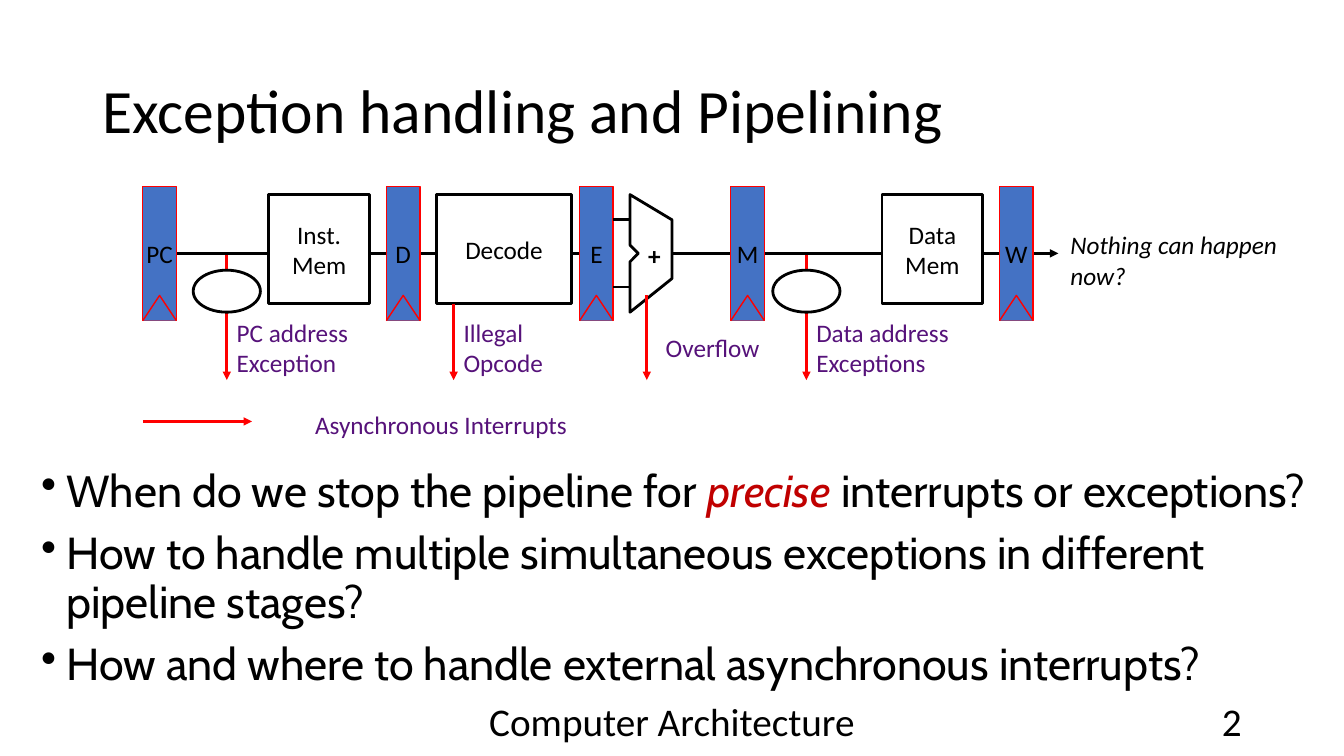
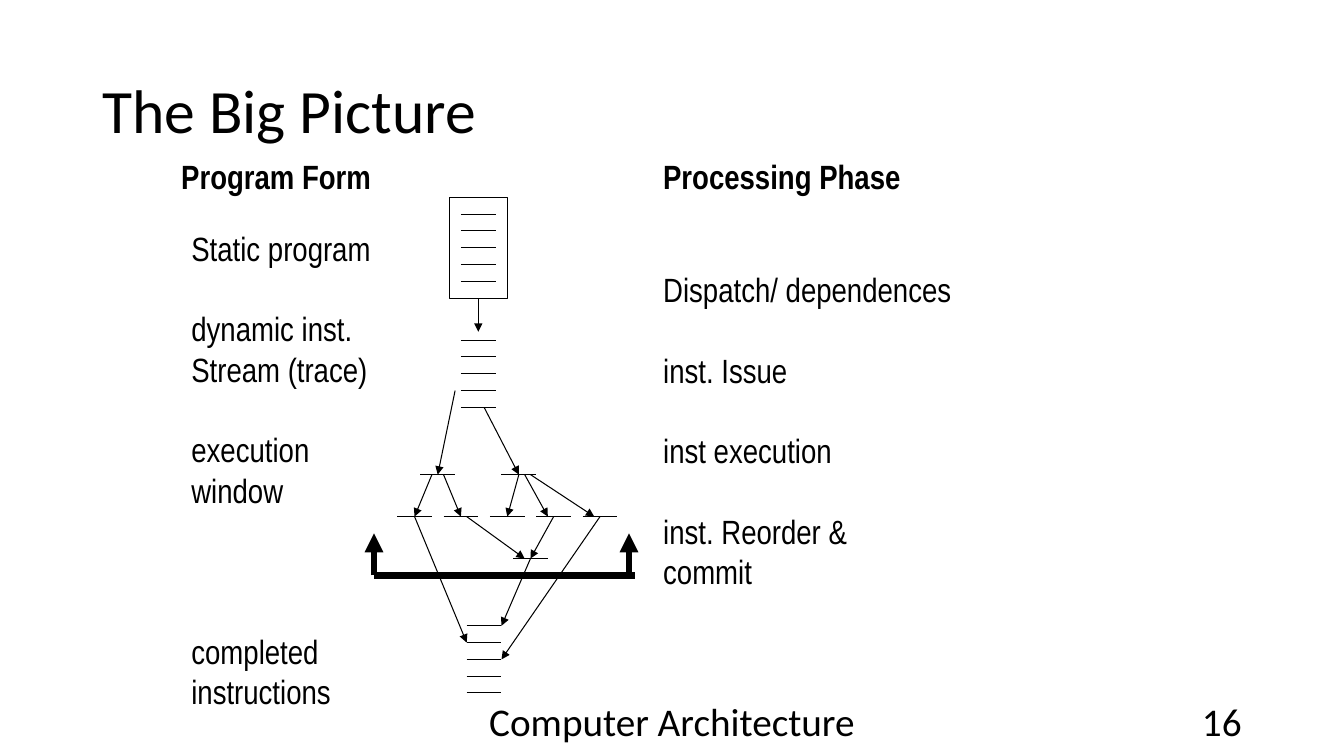
import pptx
import pptx.util
import pptx.dml.color
import pptx.enum.shapes
import pptx.enum.text
import pptx.oxml.ns
import pptx.oxml.xmlchemy

Pt = pptx.util.Pt
SHAPE = pptx.enum.shapes.MSO_SHAPE
ALIGN = pptx.enum.text.PP_ALIGN
ANCHOR = pptx.enum.text.MSO_ANCHOR

BLACK, WHITE, RED, BLUE = "000000", "FFFFFF", "FF0000", "4472C4"
PURPLE, CRIMSON = "56127A", "C00000"
FOOTER = "Computer Architecture"

REGISTER_TOP, REGISTER_WIDTH, REGISTER_HEIGHT, NOTCH = 133, 24, 96, 18
WIRE_Y = REGISTER_TOP + REGISTER_HEIGHT / 2
REGISTERS = [("PC", 102), ("D", 276), ("E", 414), ("M", 522), ("W", 714)]
UNIT_TOP, UNIT_HEIGHT = 139, 78
UNITS = [("Inst. Mem", 192, 72), ("Decode", 312, 96), ("Data Mem", 630, 72)]
ADDER = [(450, 139), (450, 175), (456, 181), (450, 187), (450, 223), (480, 199), (480, 157)]
ADDER_INPUTS = [157, 205]
CHECKS = [162, 576]
EXCEPTIONS_BOTTOM = 271.5
UNIT_EXCEPTIONS = [(324, 217), (462, 211)]
EXCEPTION_LABELS = [
    ("PC address Exception", 162, 127),
    ("Illegal Opcode", 324, 96),
    ("Overflow", 459, 100),
    ("Data address Exceptions", 576, 144),
]
QUESTIONS = [
    [("When do we stop the pipeline for ", False), ("precise", True),
     (" interrupts or exceptions?", False)],
    [("How to handle multiple simultaneous exceptions in different pipeline stages?", False)],
    [("How and where to handle external asynchronous interrupts?", False)],
]

GRID_LEFT, GRID_STEP, DASH_COLUMNS = 283.7, 4.14, 6
STACK_STEP, STACK_SIZE = 12, 5
STACKS = [(11, 153), (11, 243), (12, 447)]
ROW_1, ROW_2, ROW_3 = 339, 369, 399
WINDOW_DASHES = [(4, ROW_1), (18, ROW_1), (20, ROW_3)] + [(8 * n, ROW_2) for n in range(5)]
DEPENDENCES = [
    (10, 279, 7, ROW_1), (15, 291, 21, ROW_1),
    (6, ROW_1, 3, ROW_2), (8, ROW_1, 11, ROW_2), (21, ROW_1, 19, ROW_2),
    (22, ROW_1, 26, ROW_2), (23, ROW_1, 34, ROW_2),
    (27, ROW_2, 23, ROW_3), (12, ROW_2, 22, ROW_3),
    (23, ROW_3, 18, 447), (3, ROW_2, 12, 459), (35, ROW_2, 18, 471),
]
BRACKET_LEFT, BRACKET_RIGHT, BRACKET_Y, BRACKET_TIP = -4, 40, 411, 381
LINE_HEIGHT = 28.8
HEADINGS = [("Program Form", 122.4), ("Processing Phase", 466.6)]
COLUMNS = [
    (129.6, 159, [("Static program", 0), ("dynamic inst.", 1), ("Stream (trace)", 0),
                  ("execution", 1), ("window", 0), ("completed", 3), ("instructions", 0)]),
    (466.6, 188.6, [("Dispatch/ dependences", 0), ("inst. Issue", 1), ("inst execution", 1),
                    ("inst. Reorder &", 1), ("commit", 0)]),
]


def color(value):
    return pptx.dml.color.RGBColor.from_string(value)


def make_element(tag, **attributes):
    element = pptx.oxml.xmlchemy.OxmlElement(tag)
    for name, value in attributes.items():
        element.set(name, value)
    return element


def set_font(font, size, name="Calibri", ink=BLACK, bold=False, italic=False):
    font.size, font.name, font.bold, font.italic = Pt(size), name, bold, italic
    font.color.rgb = color(ink)


def add_text(slide, lines, left, top, width, height, size,
             align=ALIGN.LEFT, anchor=ANCHOR.TOP, **style):
    frame = slide.shapes.add_textbox(Pt(left), Pt(top), Pt(width), Pt(height)).text_frame
    frame.word_wrap = True
    frame.vertical_anchor = anchor
    for index, line in enumerate(lines):
        paragraph = frame.paragraphs[0] if index == 0 else frame.add_paragraph()
        paragraph.text = line
        paragraph.alignment = align
        set_font(paragraph.font, size, **style)
    return frame


def paint(shape, fill, line, width):
    shape.shadow.inherit = False
    if fill:
        shape.fill.solid()
        shape.fill.fore_color.rgb = color(fill)
    else:
        shape.fill.background()
    shape.line.color.rgb = color(line)
    shape.line.width = Pt(width)
    return shape


def add_box(slide, kind, left, top, width, height, fill, line, weight, label="", wrap=True):
    shape = slide.shapes.add_shape(kind, Pt(left), Pt(top), Pt(width), Pt(height))
    paint(shape, fill, line, weight)
    if label:
        shape.text_frame.word_wrap = wrap
        shape.text_frame.vertical_anchor = ANCHOR.MIDDLE
        paragraph = shape.text_frame.paragraphs[0]
        paragraph.text = label
        paragraph.alignment = ALIGN.CENTER
        set_font(paragraph.font, 18)
    return shape


def add_outline(slide, points, fill, line, weight, close):
    corners = [(Pt(x), Pt(y)) for x, y in points]
    builder = slide.shapes.build_freeform(*corners[0])
    builder.add_line_segments(corners[1:], close=close)
    return paint(builder.convert_to_shape(), fill, line, weight)


def add_line(slide, x1, y1, x2, y2, ink=BLACK, weight=2.0, arrow=False):
    line = slide.shapes.add_connector(
        pptx.enum.shapes.MSO_CONNECTOR.STRAIGHT, Pt(x1), Pt(y1), Pt(x2), Pt(y2))
    line.line.color.rgb = color(ink)
    line.line.width = Pt(weight)
    properties = line._element.spPr
    if arrow:
        outline = properties.find(pptx.oxml.ns.qn("a:ln"))
        outline.append(make_element("a:tailEnd", type="triangle"))
    properties.append(make_element("a:effectLst"))
    return line


def add_slide(presentation, title, number):
    slide = presentation.slides.add_slide(presentation.slide_layouts[6])
    frame = add_text(slide, [title], 66, 29, 828, 104, 44, anchor=ANCHOR.MIDDLE)
    frame.paragraphs[0].line_spacing = 0.9
    add_text(slide, [FOOTER], 318, 500.5, 324, 28.75, 28, ALIGN.CENTER, ANCHOR.MIDDLE)
    add_text(slide, [str(number)], 678, 500.5, 216, 28.75, 28, ALIGN.RIGHT, ANCHOR.MIDDLE)
    return slide


def add_questions(slide):
    frame = add_text(slide, [""] * len(QUESTIONS), 22.3, 331.2, 924, 144, 32, name="Cabin")
    for paragraph, runs in zip(frame.paragraphs, QUESTIONS):
        paragraph.line_spacing = 0.9
        paragraph.space_before = Pt(10)
        properties = paragraph._p.get_or_add_pPr()
        properties.set("marL", str(Pt(18)))
        properties.set("indent", str(-Pt(18)))
        defaults = properties.find(pptx.oxml.ns.qn("a:defRPr"))
        defaults.addprevious(make_element("a:buChar", char="•"))
        for text, stressed in runs:
            run = paragraph.add_run()
            run.text = text
            set_font(run.font, 32, "Cabin", CRIMSON if stressed else BLACK, italic=stressed)


def build_pipeline(presentation):
    slide = add_slide(presentation, "Exception handling and Pipelining", 2)
    for x in CHECKS:
        add_line(slide, x, WIRE_Y, x, EXCEPTIONS_BOTTOM, RED, arrow=True)
    add_line(slide, 480, WIRE_Y, 756, WIRE_Y, arrow=True)
    front_wire = add_line(slide, 126, WIRE_Y, 414, WIRE_Y)

    registers = {}
    bottom = REGISTER_TOP + REGISTER_HEIGHT
    for label, left in REGISTERS:
        registers[label] = add_box(slide, SHAPE.RECTANGLE, left, REGISTER_TOP, REGISTER_WIDTH,
                                   REGISTER_HEIGHT, BLUE, RED, 1, label, wrap=False)
        notch = [(left, bottom), (left + REGISTER_WIDTH / 2, bottom - NOTCH),
                 (left + REGISTER_WIDTH, bottom)]
        add_outline(slide, notch, BLUE, RED, 1, close=False)
    front_wire.begin_connect(registers["PC"], 3)
    front_wire.end_connect(registers["E"], 1)

    for label, left, width in UNITS:
        add_box(slide, SHAPE.RECTANGLE, left, UNIT_TOP, width, UNIT_HEIGHT,
                WHITE, BLACK, 2, label)
    add_outline(slide, ADDER, WHITE, BLACK, 2, close=True)
    for y in ADDER_INPUTS:
        add_line(slide, 438, y, 450, y)
    add_text(slide, ["+"], 452, 169, 31, 27, 18, ALIGN.CENTER, ANCHOR.MIDDLE, bold=True)

    for x in CHECKS:
        add_box(slide, SHAPE.OVAL, x - 24, 193, 48, 30, WHITE, BLACK, 2)
    for x, top in UNIT_EXCEPTIONS:
        add_line(slide, x, top, x, EXCEPTIONS_BOTTOM, RED, arrow=True)
    for label, left, width in EXCEPTION_LABELS:
        align = ALIGN.CENTER if label == "Overflow" else ALIGN.LEFT
        add_text(slide, [label], left, 223, width, 50.5, 18, align, ANCHOR.MIDDLE, ink=PURPLE)
    add_line(slide, 102, 301, 180, 301, RED, arrow=True)
    add_text(slide, ["Asynchronous Interrupts"], 186, 289, 258, 29, 18, ALIGN.CENTER, ink=PURPLE)
    add_text(slide, ["Nothing can happen", "now?"], 757.5, 160.5, 188.5, 51, 18, italic=True)
    add_questions(slide)


def column_x(column):
    return GRID_LEFT + GRID_STEP * column


def add_grid_line(slide, start, y1, end, y2, weight=0.75, arrow=True):
    return add_line(slide, column_x(start), y1, column_x(end), y2, weight=weight, arrow=arrow)


def build_big_picture(presentation):
    slide = add_slide(presentation, "The Big Picture", 16)
    program = add_box(slide, SHAPE.RECTANGLE, column_x(9), 141, 10 * GRID_STEP, 72,
                      None, BLACK, 0.75)
    stack_dashes = [(column, top + STACK_STEP * n)
                    for column, top in STACKS for n in range(STACK_SIZE)]
    for column, y in stack_dashes + WINDOW_DASHES:
        add_grid_line(slide, column, y, column + DASH_COLUMNS, y, arrow=False)
    add_grid_line(slide, 14, 213, 14, 237).begin_connect(program, 2)
    for dependence in DEPENDENCES:
        add_grid_line(slide, *dependence)
    add_grid_line(slide, BRACKET_LEFT, BRACKET_Y, BRACKET_RIGHT + 1, BRACKET_Y, 4.5, False)
    for column in (BRACKET_LEFT, BRACKET_RIGHT):
        add_grid_line(slide, column, BRACKET_Y, column, BRACKET_TIP, 4.5)

    for heading, left in HEADINGS:
        add_text(slide, [heading], left, 108, 200, 36, 24, name="Arial Narrow", bold=True)
    for left, top, entries in COLUMNS:
        height = LINE_HEIGHT * sum(1 + gap for _, gap in entries) + 7.2
        frame = add_text(slide, [text for text, _ in entries], left, top, 240, height, 24,
                         name="Arial Narrow")
        for paragraph, (_, gap) in zip(frame.paragraphs, entries):
            paragraph.space_before = Pt(gap * LINE_HEIGHT)


def main():
    presentation = pptx.Presentation()
    presentation.slide_width, presentation.slide_height = Pt(960), Pt(540)
    build_pipeline(presentation)
    build_big_picture(presentation)
    presentation.save("out.pptx")


if __name__ == "__main__":
    main()
